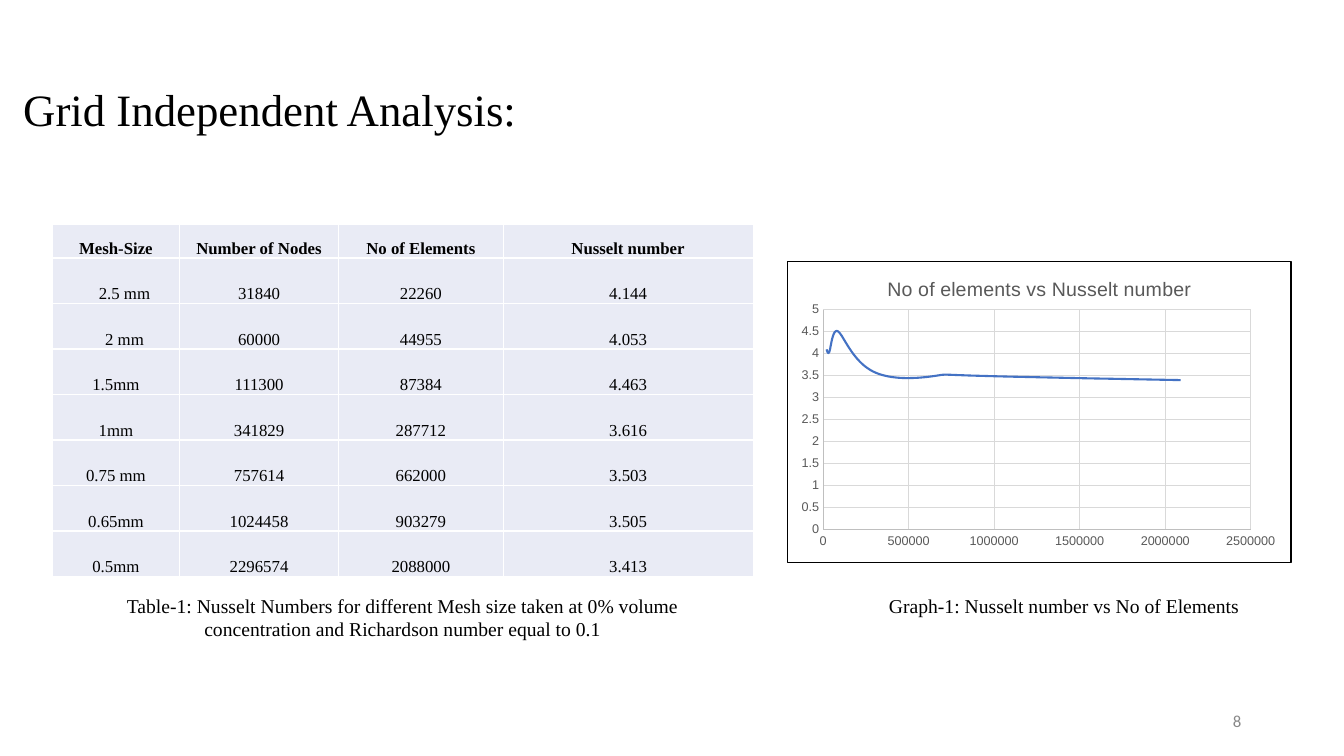
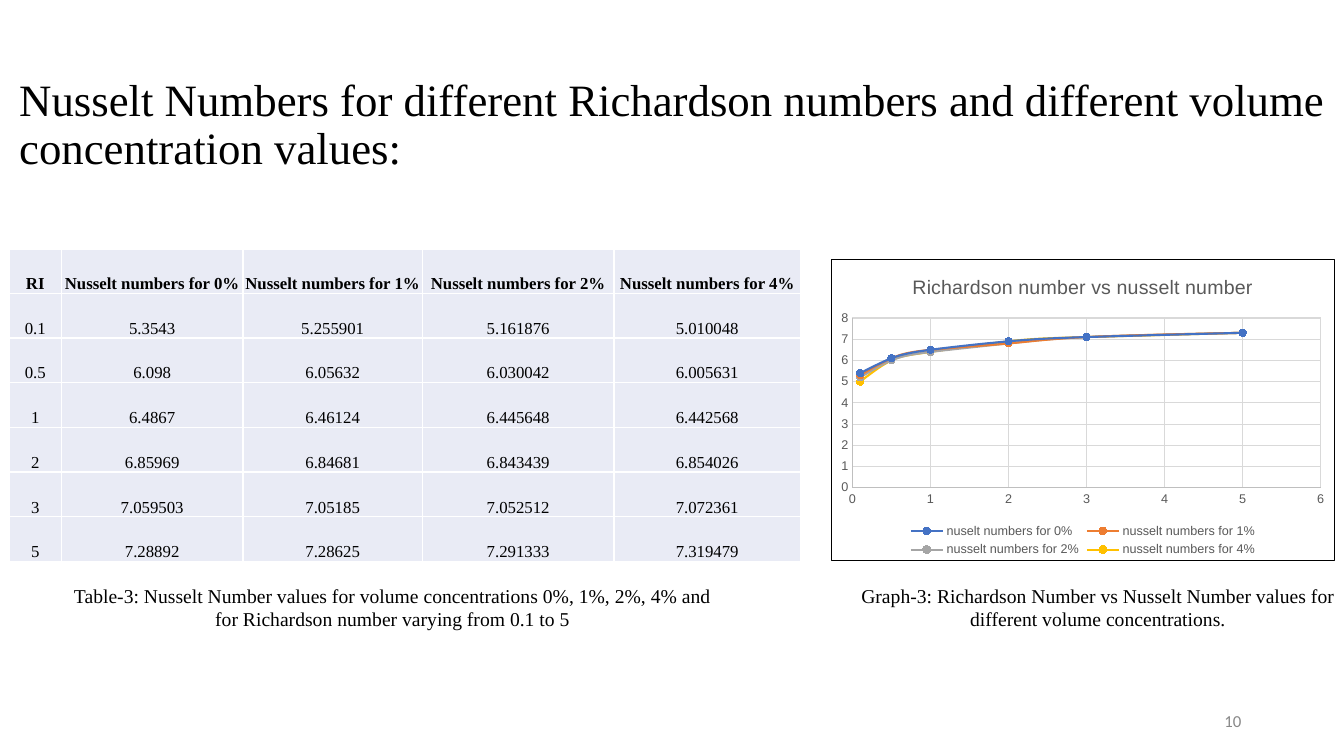
from dataclasses import dataclass
from typing import NamedTuple

from lxml.etree import SubElement
from pptx import Presentation
from pptx.chart.data import XyChartData
from pptx.dml.color import RGBColor
from pptx.enum.chart import XL_CHART_TYPE, XL_LEGEND_POSITION, XL_MARKER_STYLE, XL_TICK_MARK
from pptx.enum.text import MSO_ANCHOR, MSO_AUTO_SIZE, PP_ALIGN
from pptx.oxml import parse_xml
from pptx.oxml.ns import nsdecls, qn
from pptx.util import Emu, Pt

# Shared style
EMU_PER_PX = 9144  # 100 px to the inch
SERIF, SANS, NUMBER_FONT = "Times New Roman", "Arial", "Calibri"
BLACK, GREY, LABEL = "000000", "888888", "595959"
CELL_FILL, CELL_BORDER = "E9EBF5", "FFFFFF"
AXIS_LINE, GRID_LINE = "BFBFBF", "D9D9D9"
SERIES_COLOURS = ("4472C4", "ED7D31", "A5A5A5", "FFC000")
CELL_INDENT = 17


class Box(NamedTuple):
    left: int
    top: int
    width: int
    height: int


@dataclass(frozen=True)
class TableSpec:
    box: Box
    columns: tuple[int, ...]
    header_height: int
    rows: tuple[tuple[str, ...], ...]
    indented_rows: tuple[int, ...] = ()


@dataclass(frozen=True)
class ChartSpec:
    box: Box
    title: str
    x_column: int
    x_digits: int  # decimals kept, negative for tens and up
    series: tuple[tuple[str, int], ...]  # name and table column
    x_axis: tuple[float, float]  # maximum and step
    y_axis: tuple[float, float]
    markers: bool = False
    plot_area: tuple[float, ...] = ()  # x, y, width, height as fractions


@dataclass(frozen=True)
class PageSpec:
    number: str
    title: str
    title_box: Box
    title_bottom_inset: int
    table: TableSpec
    chart: ChartSpec
    captions: tuple[tuple[str, Box], ...]


NUMBER_BOX = Box(941, 695, 300, 40)

PAGES = (
    PageSpec(
        number="8",
        title="Grid Independent Analysis:",
        title_box=Box(13, 39, 1150, 145),
        title_bottom_inset=5,
        table=TableSpec(
            Box(52, 223, 695, 349), (126, 158, 163, 248), 33,
            (
                ("Mesh-Size", "Number of Nodes", "No of Elements", "Nusselt number"),
                ("2.5 mm", "31840", "22260", "4.144"),
                ("2 mm", "60000", "44955", "4.053"),
                ("1.5mm", "111300", "87384", "4.463"),
                ("1mm", "341829", "287712", "3.616"),
                ("0.75 mm", "757614", "662000", "3.503"),
                ("0.65mm", "1024458", "903279", "3.505"),
                ("0.5mm", "2296574", "2088000", "3.413"),
            ),
            indented_rows=(1, 2),
        ),
        chart=ChartSpec(
            Box(781, 259, 500, 300), "No of elements vs Nusselt number", 2, -4,
            (("Series 1", 3),), (2500000, 500000), (5, 0.5),
            plot_area=(0.07, 0.16, 0.85, 0.73),
        ),
        captions=(
            ("Table-1: Nusselt Numbers for different Mesh size taken at 0% volume "
             "concentration and Richardson number equal to 0.1", Box(66, 584, 667, 57)),
            ("Graph-1: Nusselt number vs No of Elements", Box(768, 584, 575, 34)),
        ),
    ),
    PageSpec(
        number="10",
        title="Nusselt Numbers for different Richardson numbers and different volume "
              "concentration values:",
        title_box=Box(9, 109, 1342, 86),
        title_bottom_inset=59,
        table=TableSpec(
            Box(9, 247, 785, 310), (52, 180, 178, 190, 185), 44,
            (
                ("RI", *(f"Nusselt numbers for {share}%" for share in (0, 1, 2, 4))),
                ("0.1", "5.3543", "5.255901", "5.161876", "5.010048"),
                ("0.5", "6.098", "6.05632", "6.030042", "6.005631"),
                ("1", "6.4867", "6.46124", "6.445648", "6.442568"),
                ("2", "6.85969", "6.84681", "6.843439", "6.854026"),
                ("3", "7.059503", "7.05185", "7.052512", "7.072361"),
                ("5", "7.28892", "7.28625", "7.291333", "7.319479"),
            ),
        ),
        chart=ChartSpec(
            Box(824, 257, 500, 300), "Richardson number vs nusselt number", 0, 1,
            (("nuselt numbers for 0%", 1), ("nusselt numbers for 1%", 2),
             ("nusselt numbers for 2%", 3), ("nusselt numbers for 4%", 4)),
            (6, 1), (8, 1), markers=True,
        ),
        captions=(
            ("Table-3: Nusselt Number values for volume concentrations 0%, 1%, 2%, 4% and "
             "for Richardson number varying from 0.1 to 5", Box(56, 574, 667, 57)),
            ("Graph-3: Richardson Number vs Nusselt Number values for different volume "
             "concentrations.", Box(833, 574, 512, 57)),
        ),
    ),
)


def px(length: float) -> Emu:
    return Emu(round(length * EMU_PER_PX))


def colour(code: str) -> RGBColor:
    return RGBColor.from_string(code)


def emu_box(box: Box) -> tuple[Emu, ...]:
    return tuple(px(length) for length in box)


# Text
def style_font(font, size: float, name: str, code: str, bold: bool = False) -> None:
    font.size, font.name, font.bold = Pt(size), name, bold
    font.color.rgb = colour(code)


def write(frame, text: str, size: float, name: str = SERIF, code: str = BLACK,
          align=PP_ALIGN.CENTER, bold: bool = False):
    para = frame.paragraphs[0]
    para.alignment = align
    span = para.add_run()
    span.text = text
    style_font(span.font, size, name, code, bold)
    return para


def add_title(page, spec: PageSpec) -> None:
    title = page.shapes.title
    title.left, title.top, title.width, title.height = emu_box(spec.title_box)
    frame = title.text_frame
    frame.auto_size, frame.word_wrap = MSO_AUTO_SIZE.NONE, True
    frame.vertical_anchor = MSO_ANCHOR.MIDDLE
    frame.margin_bottom = px(spec.title_bottom_inset)
    write(frame, spec.title, 32, align=PP_ALIGN.LEFT).line_spacing = 0.9


def add_caption(page, text: str, box: Box) -> None:
    frame = page.shapes.add_textbox(*emu_box(box)).text_frame
    frame.word_wrap, frame.auto_size = True, MSO_AUTO_SIZE.SHAPE_TO_FIT_TEXT
    write(frame, text, 14)


def add_page_number(page, number: str) -> None:
    frame = page.shapes.add_textbox(*emu_box(NUMBER_BOX)).text_frame
    frame.word_wrap, frame.vertical_anchor = True, MSO_ANCHOR.MIDDLE
    write(frame, number, 12, NUMBER_FONT, GREY, PP_ALIGN.RIGHT)


# Table
def style_cell(cell, indent: int) -> None:
    cell.vertical_anchor = MSO_ANCHOR.BOTTOM
    cell.margin_left, cell.margin_right = px(1 + indent), px(1)
    cell.margin_top, cell.margin_bottom = px(1), px(0)
    properties = cell._tc.get_or_add_tcPr()
    for side in ("a:lnL", "a:lnR", "a:lnT", "a:lnB"):
        line = SubElement(properties, qn(side), w=str(Pt(1)))
        SubElement(SubElement(line, qn("a:solidFill")), qn("a:srgbClr"), val=CELL_BORDER)
    cell.fill.solid()
    cell.fill.fore_color.rgb = colour(CELL_FILL)


def add_table(page, spec: TableSpec) -> None:
    table = page.shapes.add_table(len(spec.rows), len(spec.columns), *emu_box(spec.box)).table
    table.first_row = table.horz_banding = False
    for column, width in zip(table.columns, spec.columns):
        column.width = px(width)
    body_height = (spec.box.height - spec.header_height) / (len(spec.rows) - 1)
    for row_index, values in enumerate(spec.rows):
        header = row_index == 0
        table.rows[row_index].height = px(spec.header_height if header else body_height)
        for column_index, value in enumerate(values):
            cell = table.cell(row_index, column_index)
            indented = column_index == 0 and row_index in spec.indented_rows
            style_cell(cell, CELL_INDENT if indented else 0)
            write(cell.text_frame, value, 12, bold=header)


# Chart
def style_line(line, code: str, width: float) -> None:
    line.color.rgb = colour(code)
    line.width = Pt(width)


def style_axis(axis, maximum: float, step: float) -> None:
    axis.minimum_scale, axis.maximum_scale, axis.major_unit = 0, maximum, step
    axis.major_tick_mark = axis.minor_tick_mark = XL_TICK_MARK.NONE
    axis.has_major_gridlines = True
    style_line(axis.major_gridlines.format.line, GRID_LINE, 0.75)
    style_line(axis.format.line, AXIS_LINE, 0.75)
    style_font(axis.tick_labels.font, 9, SANS, LABEL)
    axis.tick_labels.number_format = "General"
    axis.tick_labels.number_format_is_linked = False


def style_series(series, code: str, markers: bool) -> None:
    style_line(series.format.line, code, 1.5)
    for smooth in series._element.iter(qn("c:smooth")):
        smooth.set("val", "1")
    marker = series.marker
    marker.style = XL_MARKER_STYLE.CIRCLE if markers else XL_MARKER_STYLE.NONE
    if markers:
        marker.size = 5
        marker.format.fill.solid()
        marker.format.fill.fore_color.rgb = colour(code)
        style_line(marker.format.line, code, 0.75)


def frame_chart(chart) -> None:
    border = parse_xml(
        f'<c:spPr {nsdecls("c", "a")}><a:ln w="{Pt(0.75)}"><a:solidFill>'
        f'<a:srgbClr val="{BLACK}"/></a:solidFill></a:ln></c:spPr>')
    chart._chartSpace.find(qn("c:chart")).addnext(border)


def place_plot(chart, fractions: tuple[float, ...]) -> None:
    plot_area = chart._chartSpace.find(qn("c:chart")).find(qn("c:plotArea"))
    for layout in plot_area.findall(qn("c:layout")):
        plot_area.remove(layout)
    layout = parse_xml(f'<c:layout {nsdecls("c")}><c:manualLayout/></c:layout>')
    settings = (("layoutTarget", "inner"), ("xMode", "edge"), ("yMode", "edge"),
                *zip("xywh", fractions))
    for name, value in settings:
        SubElement(layout[0], qn(f"c:{name}"), val=str(value))
    plot_area.insert(0, layout)


def add_chart(page, spec: ChartSpec, rows: tuple[tuple[str, ...], ...]) -> None:
    data = XyChartData()
    for name, column in spec.series:
        series = data.add_series(name)
        for row in rows[1:]:
            series.add_data_point(round(float(row[spec.x_column]), spec.x_digits),
                                  round(float(row[column]), 1))
    kind = XL_CHART_TYPE.XY_SCATTER_SMOOTH if spec.markers else XL_CHART_TYPE.XY_SCATTER_SMOOTH_NO_MARKERS
    chart = page.shapes.add_chart(kind, *emu_box(spec.box), data).chart
    style_font(chart.font, 10, SANS, BLACK)
    chart.has_title = True
    write(chart.chart_title.text_frame, spec.title, 14, SANS, LABEL)
    chart.plots[0].vary_by_categories = False
    style_axis(chart.category_axis, *spec.x_axis)
    style_axis(chart.value_axis, *spec.y_axis)
    for series, code in zip(chart.plots[0].series, SERIES_COLOURS):
        style_series(series, code, spec.markers)
    chart.has_legend = len(spec.series) > 1
    if chart.has_legend:
        chart.legend.position = XL_LEGEND_POSITION.BOTTOM
        chart.legend.include_in_layout = False
        style_font(chart.legend.font, 9, SANS, LABEL)
    if spec.plot_area:
        place_plot(chart, spec.plot_area)
    frame_chart(chart)


# Deck
def main() -> None:
    deck = Presentation()
    deck.slide_width, deck.slide_height = px(1333), px(750)
    title_only = deck.slide_layouts[5]
    for spec in PAGES:
        page = deck.slides.add_slide(title_only)
        add_title(page, spec)
        add_page_number(page, spec.number)
        add_table(page, spec.table)
        add_chart(page, spec.chart, spec.table.rows)
        for text, box in spec.captions:
            add_caption(page, text, box)
    deck.save("out.pptx")


if __name__ == "__main__":
    main()
